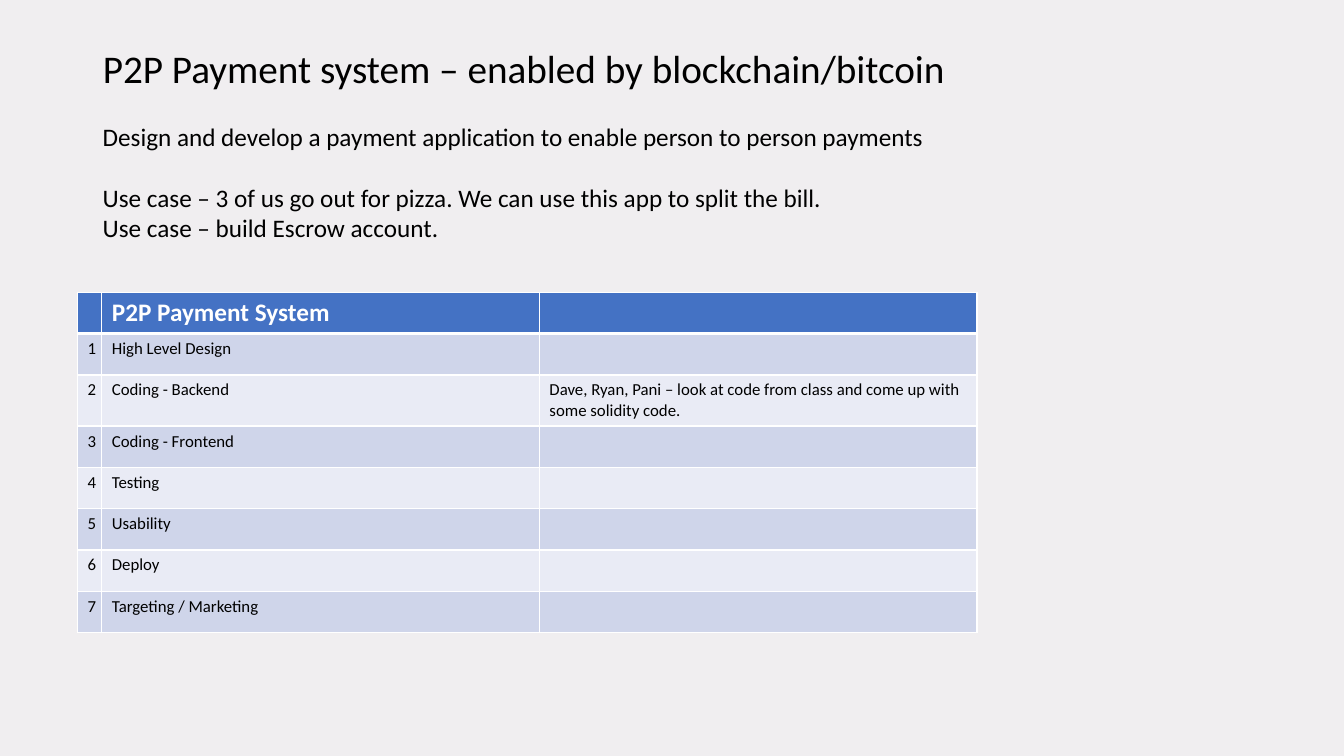
"""Build the P2P payment system project slide."""
from lxml.etree import SubElement
from pptx import Presentation
from pptx.dml.color import RGBColor
from pptx.enum.text import MSO_ANCHOR as Anchor, MSO_AUTO_SIZE as AutoSize, PP_ALIGN as Align
from pptx.oxml.ns import qn
from pptx.util import Inches, Pt

COLORS = {
    "background": "F0EEF0", "text": "000000", "white": "FFFFFF",
    "header": "4472C4", "odd": "CFD5EA", "even": "E9EBF5",
}
TASKS = [
    ("High Level Design", ""),
    ("Coding - Backend", "Dave, Ryan, Pani – look at code from class and come up with some solidity code."),
    ("Coding - Frontend", ""),
    ("Testing", ""),
    ("Usability", ""),
    ("Deploy", ""),
    ("Targeting / Marketing", ""),
]
DESCRIPTION = [
    ("Design and develop a payment application to enable person to person payments", 0),
    ("Use case – 3 of us go out for pizza. We can use this app to split the bill.", 22),
    ("Use case – build Escrow account.", 0),
]


class SlideBuilder:
    """Hold the slide and its style."""

    def __init__(self, slide, font="Calibri"):
        self.slide = slide
        self.font = font
        self.paint(slide.background.fill, "background")

    def paint(self, fill, color):
        fill.solid()
        fill.fore_color.rgb = RGBColor.from_string(COLORS[color])

    def run(self, paragraph, text, size, color="text", bold=False):
        run = paragraph.add_run()
        run.text = text
        run.font.name = self.font
        run.font.size = Pt(size)
        run.font.bold = bold
        run.font.color.rgb = RGBColor.from_string(COLORS[color])

    def title(self, text, left, top, width, height):
        title = self.slide.shapes.title
        title.left, title.top = Inches(left), Inches(top)
        title.width, title.height = Inches(width), Inches(height)
        frame = title.text_frame
        frame.auto_size = AutoSize.NONE
        frame.vertical_anchor = Anchor.MIDDLE
        paragraph = frame.paragraphs[0]
        paragraph.alignment = Align.LEFT
        paragraph.line_spacing = 0.9
        self.run(paragraph, text, 28)

    def text(self, lines, left, top, width, height):
        box = self.slide.shapes.add_textbox(Inches(left), Inches(top), Inches(width), Inches(height))
        frame = box.text_frame
        frame.word_wrap = True
        for index, (line, gap) in enumerate(lines):
            paragraph = frame.add_paragraph() if index else frame.paragraphs[0]
            paragraph.space_before = Pt(gap)
            self.run(paragraph, line, 18)

    def borders(self, cell, widths):
        properties = cell._tc.get_or_add_tcPr()
        for side, width in widths.items():
            line = SubElement(properties, qn(f"a:ln{side}"), w=str(Pt(width)))
            fill = SubElement(line, qn("a:solidFill"))
            SubElement(fill, qn("a:srgbClr"), val=COLORS["white"])

    def table(self, rows, left, top, column_widths, row_height):
        frame = self.slide.shapes.add_table(
            len(rows), len(column_widths), Inches(left), Inches(top),
            Inches(sum(column_widths)), Inches(row_height * len(rows)))
        table = frame.table
        for column, width in zip(table.columns, column_widths):
            column.width = Inches(width)
        for row_index, (row, values) in enumerate(zip(table.rows, rows)):
            row.height = Inches(row_height)
            header = row_index == 0
            fill = "header" if header else ("even", "odd")[row_index % 2]
            widths = {"L": 1, "R": 1, "T": 3 if row_index == 1 else 1, "B": 3 if header else 1}
            for cell, value in zip(row.cells, values):
                self.borders(cell, widths)
                self.paint(cell.fill, fill)
                if value:
                    self.run(cell.text_frame.paragraphs[0], value, 18 if header else 12,
                             "white" if header else "text", header)


presentation = Presentation()
presentation.slide_width, presentation.slide_height = Inches(13.33), Inches(7.5)
builder = SlideBuilder(presentation.slides.add_slide(presentation.slide_layouts[5]))
builder.title("P2P Payment system – enabled by blockchain/bitcoin", 0.92, 0.4, 11.5, 0.6)
task_rows = [(str(number), *task) for number, task in enumerate(TASKS, 1)]
builder.table([("", "P2P Payment System", ""), *task_rows], 0.77, 2.9, (0.24, 4.34, 4.34), 0.41)
builder.text(DESCRIPTION, 0.92, 1.15, 8.84, 1.31)
presentation.save("out.pptx")
